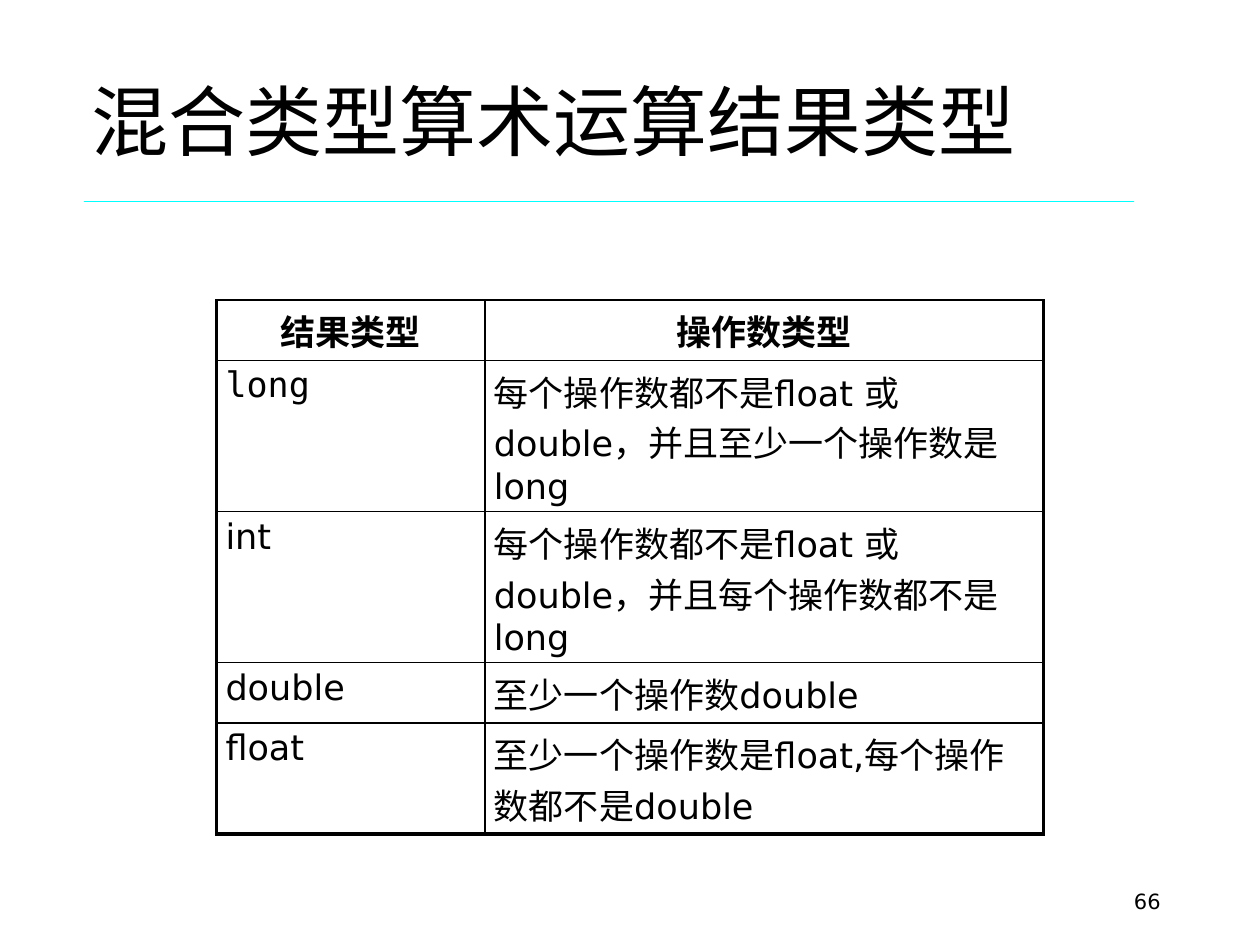
from lxml import etree
from pptx import Presentation
from pptx import util as u
from pptx.dml.color import RGBColor
from pptx.enum import shapes, text
from pptx.oxml import ns

BLACK = RGBColor(0x00, 0x00, 0x00)
CYAN = RGBColor(0x00, 0xFF, 0xFF)
BODY, MONO, HEADING = "DejaVu Sans", "DejaVu Sans Mono", "Calibri"
THIN, THICK = 1, 2.25

COL_WIDTHS = (2.13, 4.43)
ONE_LINE, TWO_LINES, THREE_LINES = 0.48, 0.88, 1.2
ROWS = [
    (ONE_LINE, "结果类型", "操作数类型"),
    (THREE_LINES, "long", "每个操作数都不是float 或double，并且至少一个操作数是long"),
    (THREE_LINES, "int", "每个操作数都不是float 或double，并且每个操作数都不是long"),
    (ONE_LINE, "double", "至少一个操作数double"),
    (TWO_LINES, "float", "至少一个操作数是float,每个操作数都不是double"),
]


def inches(*values):
    return [u.Inches(v) for v in values]


def set_font(p, name, size, bold=False):
    p.font.name, p.font.size, p.font.bold = name, u.Pt(size), bold
    p.font.color.rgb = BLACK


def add_label(s, box, label, name, size, align=text.PP_ALIGN.LEFT):
    tf = s.shapes.add_textbox(*inches(*box)).text_frame
    tf.word_wrap = True
    tf.vertical_anchor = text.MSO_ANCHOR.MIDDLE
    p = tf.paragraphs[0]
    p.text, p.alignment = label, align
    set_font(p, name, size)
    return p


def add_rule(s, left, top, width):
    """Draw the cyan line, free of the theme's line style and shadow."""
    rule = s.shapes.add_connector(
        shapes.MSO_CONNECTOR.STRAIGHT, *inches(left, top, left + width, top))
    rule.line.color.rgb = CYAN
    rule.line.width = u.Pt(1)
    etree.SubElement(rule._element.spPr, ns.qn("a:effectLst"))
    rule._element.remove(rule._element.find(ns.qn("p:style")))


def set_borders(cell, **widths):
    """Draw black cell borders; they must precede the cell's fill in the XML."""
    tc_pr = cell._tc.get_or_add_tcPr()
    for i, (side, width) in enumerate(widths.items()):
        ln = etree.Element(ns.qn(f"a:ln{side}"), w=str(u.Pt(width)))
        fill = etree.SubElement(ln, ns.qn("a:solidFill"))
        etree.SubElement(fill, ns.qn("a:srgbClr"), val=str(BLACK))
        tc_pr.insert(i, ln)


def space_before_percent(p, percent):
    spacing = etree.Element(ns.qn("a:spcBef"))
    etree.SubElement(spacing, ns.qn("a:spcPct"), val=str(percent * 1000))
    p._p.get_or_add_pPr().insert(0, spacing)


def fill_cell(cell, label, header, name):
    cell.fill.background()
    cell.margin_left = cell.margin_right = u.Inches(0.07)
    cell.margin_top = cell.margin_bottom = u.Inches(0.04)
    p = cell.text_frame.paragraphs[0]
    p.text = label
    p.alignment = text.PP_ALIGN.CENTER if header else text.PP_ALIGN.LEFT
    set_font(p, name, 20, header)
    space_before_percent(p, 20)


def add_type_table(s, left, top):
    height = sum(row[0] for row in ROWS)
    table = s.shapes.add_table(
        len(ROWS), len(COL_WIDTHS),
        *inches(left, top, sum(COL_WIDTHS), height)).table
    table.first_row = table.horz_banding = False
    for column, width in zip(table.columns, COL_WIDTHS):
        column.width = u.Inches(width)
    last_row, last_col = len(ROWS) - 1, len(COL_WIDTHS) - 1
    for r, (row_height, *labels) in enumerate(ROWS):
        table.rows[r].height = u.Inches(row_height)
        for c, label in enumerate(labels):
            cell = table.cell(r, c)
            fill_cell(cell, label, r == 0, MONO if label == "long" else BODY)
            set_borders(cell,
                        L=THICK if c == 0 else THIN,
                        R=THICK if c == last_col else THIN,
                        T=THIN,
                        B=THICK if r == last_row else THIN)


def main():
    prs = Presentation()
    prs.slide_width, prs.slide_height = inches(10, 7.5)
    s = prs.slides.add_slide(prs.slide_layouts[6])
    title = add_label(s, (0.63, 0.33, 8.75, 1.33),
                      "混合类型算术运算结果类型", HEADING, 44)
    title.line_spacing = 0.9
    add_type_table(s, 1.72, 2.38)
    add_label(s, (7.06, 6.95, 2.25, 0.4), "66", BODY, 12,
              text.PP_ALIGN.RIGHT)
    add_rule(s, 0.67, 1.6, 8.33)
    prs.save("out.pptx")


if __name__ == "__main__":
    main()
